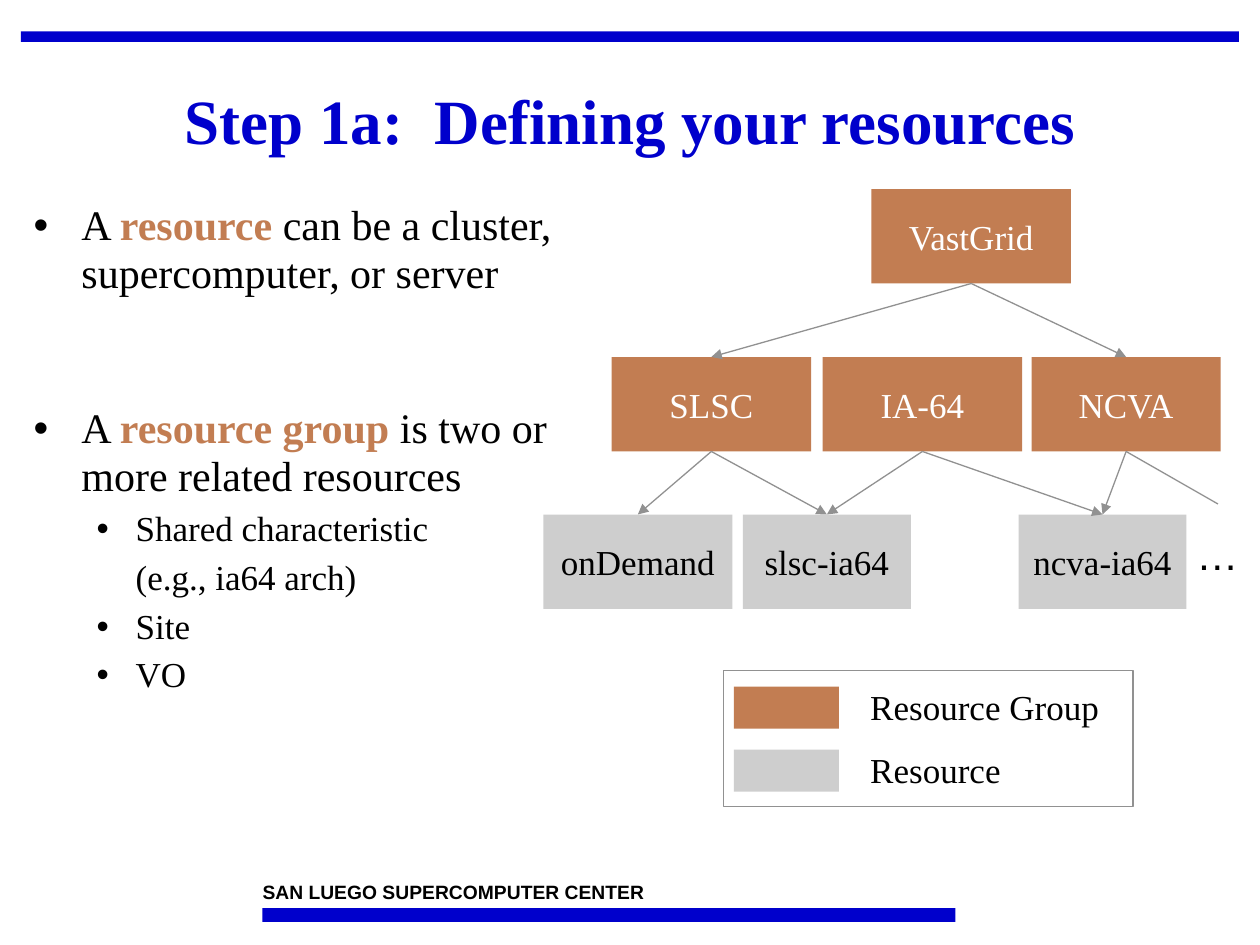
from dataclasses import dataclass
from lxml.etree import SubElement
from pptx import Presentation
from pptx.dml.color import RGBColor
from pptx.enum.shapes import MSO_CONNECTOR, MSO_SHAPE
from pptx.enum.text import MSO_ANCHOR, MSO_AUTO_SIZE, PP_ALIGN
from pptx.oxml.ns import qn
from pptx.util import Inches, Pt


@dataclass(frozen=True)
class Theme:
    blue: str = "0000CC"
    group: str = "C27D52"
    node: str = "CECECE"
    rule: str = "919191"
    ink: str = "000000"
    paper: str = "FFFFFF"
    serif: str = "Times New Roman"
    sans: str = "Arial"
    head: int = 36
    body: int = 24
    label: int = 20
    foot: int = 11
    hair: float = 0.75


T = Theme()
WIDE, HIGH = 120, 90  # grid columns and rows on the slide
BOTTOM, TOP = 2, 0  # connection sites


def grid(n):
    return Inches(n * 10 / WIDE)


def within(box, x, y, w, h):
    """Shift a part into the region that holds it."""
    return box[0] + x, box[1] + y, w, h


def say(frame, text, size=T.label, color=T.ink, font=T.serif, bold=False,
        align=PP_ALIGN.LEFT, gap=0, lead=1.0):
    """Add a paragraph; parts between asterisks are accented."""
    para = frame.paragraphs[0]
    if para.runs:
        para = frame.add_paragraph()
    para.alignment, para.line_spacing = align, lead
    para.space_before = Pt(gap)
    for i, part in enumerate(text.split("*")):
        run = para.add_run()
        run.text = part
        face = run.font
        face.name, face.size, face.bold = font, Pt(size), bold or i % 2 == 1
        face.color.rgb = RGBColor.from_string(T.group if i % 2 else color)
    return para


def rect(slide, box, fill=None, line=None):
    shape = slide.shapes.add_shape(MSO_SHAPE.RECTANGLE, *map(grid, box))
    shape.shadow.inherit = False
    if fill:
        shape.fill.solid()
        shape.fill.fore_color.rgb = RGBColor.from_string(fill)
    else:
        shape.fill.background()
    if line:
        shape.line.color.rgb = RGBColor.from_string(line)
        shape.line.width = Pt(T.hair)
    else:
        shape.line.fill.background()
    return shape


def label(slide, box, text, inset=True, **fmt):
    frame = slide.shapes.add_textbox(*map(grid, box)).text_frame
    frame.word_wrap = False
    if not inset:
        frame.margin_left = frame.margin_right = 0
        frame.margin_top = frame.margin_bottom = 0
    say(frame, text, **fmt)


def move(holder, box):
    holder.left, holder.top, holder.width, holder.height = map(grid, box)
    frame = holder.text_frame
    frame.auto_size, frame.word_wrap = MSO_AUTO_SIZE.NONE, True
    return frame


def title(slide, box, text):
    frame = move(slide.shapes.title, box)
    frame.vertical_anchor = MSO_ANCHOR.MIDDLE
    say(frame, text, size=T.head, color=T.blue, bold=True,
        align=PP_ALIGN.CENTER, lead=0.9)


def bullets(holder, box, items):
    """Fill a body with (level, marked, text) items."""
    frame = move(holder, box)
    for level, mark, text in items:
        para = say(frame, text, size=T.label if level else T.body,
                   gap=5 if level else 6, lead=0.95)
        para.level = level
        left, hang = (0.81, 0.31) if level else (0.38, 0.38)
        props = para._p.get_or_add_pPr()
        props.set("marL", str(Inches(left)))
        props.set("indent", str(-Inches(hang) if mark else 0))
        if mark:
            SubElement(props, qn("a:buChar")).set("char", "•")
        else:
            SubElement(props, qn("a:buNone"))


def link(slide, start, end=None, point=(0, 0)):
    """Join a parent to a child with an arrow, or to a free point."""
    x, y = map(grid, point)
    wire = slide.shapes.add_connector(MSO_CONNECTOR.STRAIGHT, x, y, x, y)
    wire.begin_connect(start, BOTTOM)
    wire.line.color.rgb = RGBColor.from_string(T.rule)
    wire.line.width = Pt(T.hair)
    if end is not None:
        wire.end_connect(end, TOP)
        SubElement(wire.line._get_or_add_ln(), qn("a:tailEnd")).set(
            "type", "triangle")
    SubElement(wire._element.spPr, qn("a:effectLst"))


def tree(slide, box):
    # Rows of boxes: top, fill, text colour, then name, left and width
    rows = [
        (0, T.group, T.paper, [("VastGrid", 31.25, 19)]),
        (16, T.group, T.paper,
         [("SLSC", 6.5, 19), ("IA-64", 26.6, 19), ("NCVA", 46.5, 18)]),
        (31, T.node, T.ink,
         [("onDemand", 0, 18), ("slsc-ia64", 19, 16), ("ncva-ia64", 45.25, 16)]),
    ]
    nodes = {}
    for y, fill, color, cells in rows:
        for name, x, w in cells:
            node = rect(slide, within(box, x, y, w, 9), fill)
            frame = node.text_frame
            frame.word_wrap = False
            frame.vertical_anchor = MSO_ANCHOR.MIDDLE
            say(frame, name, color=color, align=PP_ALIGN.CENTER)
            nodes[name] = node
    # Links from groups to members
    members = {
        "VastGrid": ["SLSC", "NCVA"],
        "SLSC": ["onDemand", "slsc-ia64"],
        "IA-64": ["slsc-ia64", "ncva-ia64"],
        "NCVA": ["ncva-ia64"],
    }
    for group, names in members.items():
        for name in names:
            link(slide, nodes[group], nodes[name])
    # More members to come
    link(slide, nodes["NCVA"], point=within(box, 64.25, 30, 0, 0)[:2])
    label(slide, within(box, 61, 31.7, 6.4, 6), "…", size=T.body, font=T.sans)


def legend(slide, box):
    keys = [(T.group, "Resource Group"), (T.node, "Resource")]
    for i, (fill, text) in enumerate(keys):
        rect(slide, within(box, 1, 1.55 + 6 * i, 10, 4), fill)
        label(slide, within(box, 12.8, 0.85 + 6 * i, 26, 5.25), text)
    rect(slide, box, line=T.rule)


def bars(slide):
    rect(slide, (2, 3, 116, 1), T.blue)
    rect(slide, (25, 86.5, 66, 1.3), T.blue)
    label(slide, (25, 83.8, 45, 2.2), "SAN LUEGO SUPERCOMPUTER CENTER",
          inset=False, size=T.foot, font=T.sans, bold=True)


def main():
    deck = Presentation()
    deck.slide_width, deck.slide_height = grid(WIDE), grid(HIGH)
    slide = deck.slides.add_slide(deck.slide_layouts.get_by_name("Two Content"))
    bars(slide)
    title(slide, (5, 5, 110, 13.7), "Step 1a:  Defining your resources")
    first, second = list(slide.placeholders)[1:]
    bullets(first, (2, 18.7, 56, 18), [
        (0, True, "A *resource* can be a cluster, supercomputer, or server"),
    ])
    bullets(second, (2, 38, 60, 39.4), [
        (0, True, "A *resource group* is two or more related resources"),
        (1, True, "Shared characteristic"),
        (1, False, "(e.g., ia64 arch)"),
        (1, True, "Site"),
        (1, True, "VO"),
    ])
    tree(slide, (51.75, 18, 68, 40))
    legend(slide, (68.9, 63.85, 39, 13))
    deck.save("out.pptx")


if __name__ == "__main__":
    main()
